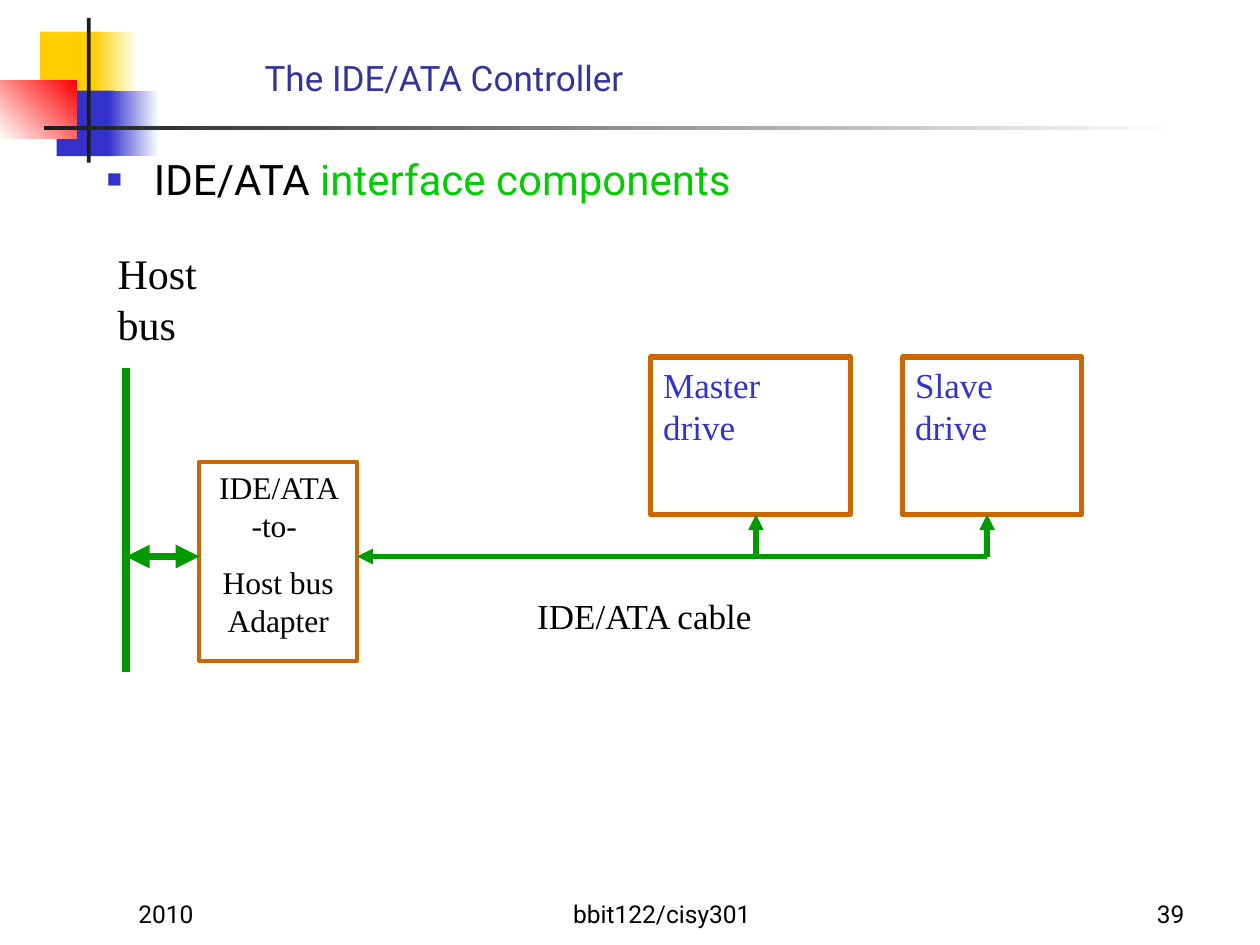
from dataclasses import dataclass

from lxml.etree import SubElement as Sub
from pptx import Presentation
from pptx.dml.color import RGBColor as Rgb
from pptx.enum.shapes import MSO_CONNECTOR as Link, MSO_SHAPE as Form
from pptx.enum.text import MSO_ANCHOR as Anchor, PP_ALIGN as Align
from pptx.oxml.ns import qn
from pptx.util import Cm, Pt


@dataclass(frozen=True)
class Theme:
    """Colours, fonts and type sizes of the slide."""
    sans: str = "Roboto"
    serif: str = "Times New Roman"
    black: str = "000000"
    white: str = "FFFFFF"
    ink: str = "1C1C1C"
    gold: str = "FFCF01"
    blue: str = "3333CC"
    red: str = "FF0000"
    navy: str = "333399"
    lime: str = "00CC00"
    green: str = "009900"
    rust: str = "CC6600"
    foot: int = 14
    small: int = 18
    label: int = 20
    large: int = 24


LOOK = Theme()


def place(shape, x, y, w, h):
    """Move and size a shape, in centimetres."""
    shape.left, shape.top, shape.width, shape.height = map(Cm, (x, y, w, h))


def style(run, font, size, hue):
    """Set the font, size and colour of a run."""
    run.font.name = font
    run.font.size = Pt(size)
    run.font.color.rgb = Rgb.from_string(hue)


def write(shape, text, size, hue=LOOK.black, font=LOOK.serif,
          align=Align.LEFT, anchor=Anchor.TOP, gap=0):
    """Fill a shape with text in one style."""
    frame = shape.text_frame
    frame.text = text
    frame.word_wrap = True
    frame.vertical_anchor = anchor
    for para in frame.paragraphs:
        para.alignment = align
        para.space_before = Pt(gap)
        for run in para.runs:
            style(run, font, size, hue)


def label(slide, box, text, size, **form):
    """Add a text box."""
    write(slide.shapes.add_textbox(*map(Cm, box)), text, size, **form)


def block(slide, x, y, w, h):
    """Add a plain rectangle without line or shadow."""
    shape = slide.shapes.add_shape(Form.RECTANGLE, *map(Cm, (x, y, w, h)))
    shape.shadow.inherit = False
    shape.line.fill.background()
    return shape


def frame(slide, box, width, text, size, **form):
    """Add an outlined box with text."""
    shape = block(slide, *box)
    shape.fill.background()
    shape.line.color.rgb = Rgb.from_string(LOOK.rust)
    shape.line.width = Pt(width)
    write(shape, text, size, **form)


def wire(slide, start, end, width, *tips):
    """Add a green line with arrowheads at the named ends."""
    line = slide.shapes.add_connector(Link.STRAIGHT, *map(Cm, start + end))
    line.line.color.rgb = Rgb.from_string(LOOK.green)
    line.line.width = Pt(width)
    for tip in tips:
        Sub(line.line._get_or_add_ln(), qn(f"a:{tip}"), type="triangle")
    Sub(line._element.spPr, qn("a:effectLst"))


def solid(slide, box, hue):
    """Add a block of one colour."""
    fill = block(slide, *box).fill
    fill.solid()
    fill.fore_color.rgb = Rgb.from_string(hue)


def fade(slide, box, first, last, angle=0):
    """Add a block that fades between two colours."""
    fill = block(slide, *box).fill
    fill.gradient()
    fill.gradient_angle = angle
    for stop, hue, spot in zip(fill.gradient_stops, (first, last), (0, 1)):
        stop.color.rgb = Rgb.from_string(hue)
        stop.position = spot


def decor(slide, x, y):
    """Draw the corner squares and the rules."""
    pairs = ((0.81, 0.28, 1.22, 1.88, 0.91, LOOK.gold),
             (1.14, 1.47, 1.17, 2.18, 1.02, LOOK.blue))
    for left, top, wide, next_x, tail, hue in pairs:
        solid(slide, (x + left, y + top, wide, 1.32), hue)
        fade(slide, (x + next_x, y + top, tail, 1.32), hue, LOOK.white)
    fade(slide, (x, y + 1.27, 1.55, 1.17), LOOK.white, LOOK.red, 45)
    solid(slide, (x + 1.75, y, 0.08, 2.92), LOOK.ink)
    fade(slide, (x + 0.89, y + 2.18, 22.86, 0.08), LOOK.ink, LOOK.white)


def head(slide, x, y, w, h):
    """Fill the title."""
    title = slide.shapes.title
    place(title, x, y, w, h)
    write(title, "The IDE/ATA Controller", LOOK.label, LOOK.navy,
          LOOK.sans, anchor=Anchor.BOTTOM)


def body(slide, x, y, w, h):
    """Fill the list with its one bullet."""
    holder = slide.placeholders[1]
    place(holder, x, y, w, h)
    write(holder, "IDE/ATA ", LOOK.large, font=LOOK.sans, gap=6)
    para = holder.text_frame.paragraphs[0]
    run = para.add_run()
    run.text = "interface components"
    style(run, LOOK.sans, LOOK.large, LOOK.lime)
    props = para._p.get_or_add_pPr()
    props.set("marL", str(Cm(0.95)))
    props.set("indent", str(Cm(-0.95)))
    Sub(Sub(props, qn("a:buClr")), qn("a:srgbClr"), val=LOOK.blue)
    Sub(props, qn("a:buSzPct"), val="60000")
    Sub(props, qn("a:buChar"), char="■")


def scheme(slide, x, y):
    """Draw the bus, the adapter, the cable and the drives."""
    label(slide, (x - 0.42, y, 2.54, 2.29), "Host bus", LOOK.large, gap=15)
    for left, wide, name in ((10.58, 4.02, "Master"), (15.66, 3.6, "Slave")):
        frame(slide, (x + left, y + 2.33, wide, 3.18), 3, f"{name} drive",
              LOOK.label, hue=LOOK.blue, gap=12.5)
    frame(slide, (x + 1.48, y + 4.44, 3.18, 4.02), 2.25,
          "IDE/ATA -to- \nHost bus Adapter", LOOK.small,
          align=Align.CENTER, gap=11.2)
    level = y + 6.35
    wire(slide, (x + 4.66, level), (x + 17.36, level), 3, "headEnd")
    for tap in (12.7, 17.36):
        wire(slide, (x + tap, level), (x + tap, y + 5.5), 3, "tailEnd")
    label(slide, (x + 8.04, y + 6.98, 5.08, 1.12), "IDE/ATA cable",
          LOOK.label, gap=12.5)
    wire(slide, (x + 1.48, level), (x, level), 4.5, "headEnd", "tailEnd")
    wire(slide, (x, y + 2.54), (x, y + 8.67), 4.5)


def foot(slide, x, y, w, h):
    """Write the date, the course and the page number."""
    parts = (("2010", 0, 5.29, Align.LEFT),
             ("bbit122/cisy301", 6.78, 8.05, Align.CENTER),
             ("39", w - 5.29, 5.29, Align.RIGHT))
    for text, left, wide, align in parts:
        label(slide, (x + left, y, wide, h), text, LOOK.foot,
              font=LOOK.sans, align=align, anchor=Anchor.BOTTOM)


def main():
    """Build and save the slide."""
    deck = Presentation()
    deck.slide_width, deck.slide_height = Cm(25.4), Cm(19.05)
    slide = deck.slides.add_slide(deck.slide_layouts[1])
    decor(slide, 0, 0.36)
    head(slide, 5.08, 0.42, 12.07, 1.7)
    body(slide, 1.9, 2.96, 21.59, 1.27)
    scheme(slide, 2.54, 4.87)
    foot(slide, 2.54, 17.57, 21.59, 1.27)
    deck.save("out.pptx")


if __name__ == "__main__":
    main()
